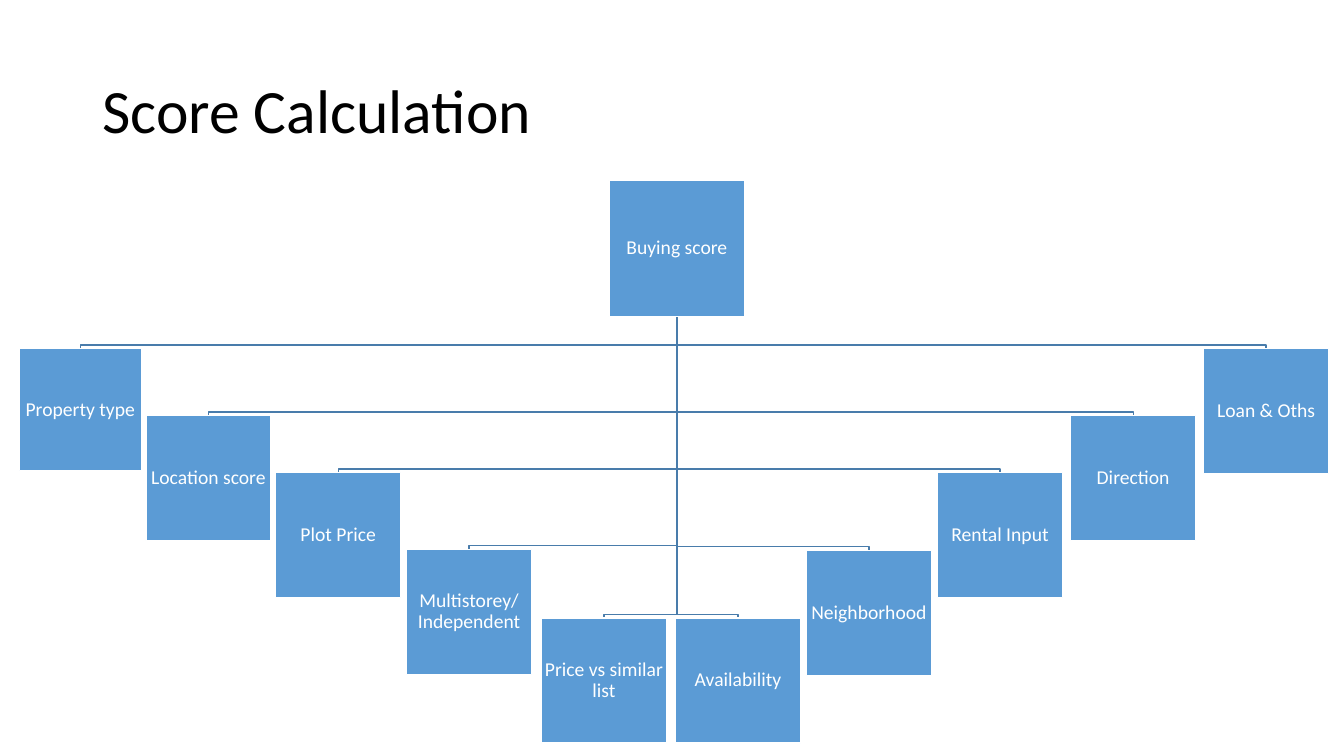
from dataclasses import dataclass
from pptx import Presentation
from pptx.dml.color import RGBColor
from pptx.enum import shapes, text
from pptx.util import Pt

TITLE = "Score Calculation"
ROOT = ("Buying score", 434.9, 128.9, 97.2)
FACTORS = [
    ("Property type", 13.9, 249.1, 87),
    ("Location score", 104.3, 296.8, 89.3),
    ("Plot Price", 197, 337.6, 89.3),
    ("Multistorey/Independent", 290.5, 392.4, 89.3),
    ("Price vs similar list", 386.8, 441.5, 89.3),
    ("Availability", 482.6, 441.5, 89.3),
    ("Neighborhood", 576.1, 393.1, 89.3),
    ("Rental Input", 669.7, 337.6, 89.3),
    ("Direction", 764.8, 296.8, 89.3),
    ("Loan & Oths", 859.8, 249.1, 89.3),
]
ELBOW_GAP = 2.6


@dataclass(frozen=True)
class Theme:
    font: str = "Calibri"
    title_size: float = 44
    box_size: float = 14
    line_width: float = 1
    title: RGBColor = RGBColor(0, 0, 0)
    box: RGBColor = RGBColor(0x5B, 0x9B, 0xD5)
    branch: RGBColor = RGBColor(0x49, 0x7C, 0xAB)
    white: RGBColor = RGBColor(0xFF, 0xFF, 0xFF)


theme = Theme()


def write(tf, content, size, color, align):
    tf.text = content
    tf.word_wrap = True
    tf.vertical_anchor = text.MSO_ANCHOR.MIDDLE
    p = tf.paragraphs[0]
    p.alignment = align
    p.line_spacing = 0.9
    font = p.runs[0].font
    font.name, font.size, font.color.rgb = theme.font, Pt(size), color


def outline(sp, color):
    sp.line.color.rgb = color
    sp.line.width = Pt(theme.line_width)
    sp.shadow.inherit = False


def add_branch(s, parent, child):
    _, px, py, pside = parent
    _, cx, cy, cside = child
    trunk, end = px + pside / 2, cx + cside / 2
    elbow = cy - ELBOW_GAP
    route = [(trunk, elbow), (end, elbow), (end, cy)]
    builder = s.shapes.build_freeform(Pt(trunk), Pt(py + pside))
    builder.add_line_segments([(Pt(x), Pt(y)) for x, y in route], close=False)
    sp = builder.convert_to_shape()
    sp.fill.background()
    outline(sp, theme.branch)


def add_box(s, label, left, top, side):
    sp = s.shapes.add_shape(
        shapes.MSO_SHAPE.RECTANGLE, Pt(left), Pt(top), Pt(side), Pt(side))
    sp.fill.solid()
    sp.fill.fore_color.rgb = theme.box
    outline(sp, theme.white)
    tf = sp.text_frame
    tf.margin_left = tf.margin_right = tf.margin_top = tf.margin_bottom = Pt(0.7)
    write(tf, label, theme.box_size, theme.white, text.PP_ALIGN.CENTER)


def main():
    prs = Presentation()
    prs.slide_width, prs.slide_height = Pt(960), Pt(540)
    s = prs.slides.add_slide(prs.slide_layouts[5])
    title = s.shapes.title
    title.left, title.top, title.width, title.height = Pt(66), Pt(28.8), Pt(828), Pt(104.4)
    write(title.text_frame, TITLE, theme.title_size, theme.title, text.PP_ALIGN.LEFT)
    for factor in reversed(FACTORS):
        add_branch(s, ROOT, factor)
    for box in [ROOT, *FACTORS]:
        add_box(s, *box)
    prs.save("out.pptx")


if __name__ == "__main__":
    main()
